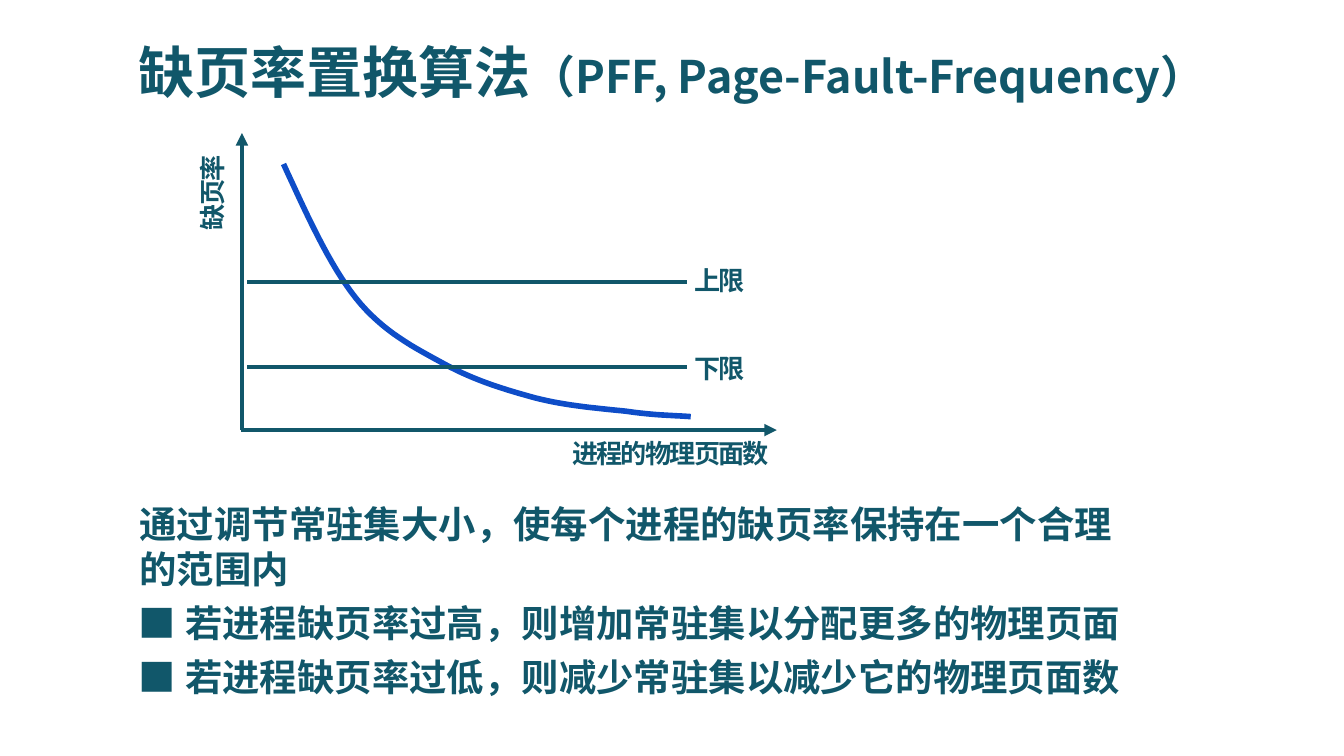
from dataclasses import dataclass

from lxml import etree
from pptx import Presentation
from pptx.dml.color import RGBColor
from pptx.enum.shapes import MSO_CONNECTOR
from pptx.enum.text import MSO_ANCHOR, MSO_AUTO_SIZE, PP_ALIGN
from pptx.oxml.ns import qn
from pptx.util import Inches, Pt

STRAIGHT = MSO_CONNECTOR.STRAIGHT
TOP = MSO_ANCHOR.TOP
GROW = MSO_AUTO_SIZE.SHAPE_TO_FIT_TEXT
LEFT, CENTER = PP_ALIGN.LEFT, PP_ALIGN.CENTER
COLS, ROWS = 100, 56.25


@dataclass(frozen=True)
class Theme:
    ink: str = "11576A"
    curve: str = "0E4DC8"
    font: str = "Noto Sans CJK SC"
    mark: str = "Noto Sans CJK JP"
    title: int = 30
    note: int = 24
    body: int = 20
    label: int = 14
    thin: float = 2.25
    thick: float = 3


class Deck:
    def __init__(self, theme):
        self.theme = theme
        self.file = Presentation()
        self.file.slide_width = Inches(10)
        self.file.slide_height = Inches(10 * 9 / 16)
        self.slide = self.file.slides.add_slide(self.file.slide_layouts[5])

    def x(self, col):
        return round(self.file.slide_width * col / COLS)

    def y(self, row):
        return round(self.file.slide_height * row / ROWS)

    def area(self, col, row, wide, high):
        return self.x(col), self.y(row), self.x(wide), self.y(high)

    def frame(self, shape, wrap=True):
        style = {"word_wrap": wrap, "auto_size": GROW, "vertical_anchor": TOP}
        for name, value in style.items():
            setattr(shape.text_frame, name, value)
        return shape.text_frame.paragraphs[0]

    def run(self, para, text, size, font=None, tight=False):
        run = para.add_run()
        run.text = text
        face = font or self.theme.font
        for name, value in {"size": Pt(size), "bold": True, "name": face}.items():
            setattr(run.font, name, value)
        run.font.color.rgb = RGBColor.from_string(self.theme.ink)
        props = run.font._element
        etree.SubElement(props, qn("a:ea")).set("typeface", face)
        if tight:
            props.set("spc", "-100")

    def title(self, area, parts):
        shape = self.slide.shapes.title
        places = zip(("left", "top", "width", "height"), self.area(*area))
        for name, value in places:
            setattr(shape, name, value)
        para = self.frame(shape)
        para.alignment = CENTER
        for text, size in parts:
            self.run(para, text, size)

    def text(self, area, text, font=None):
        box = self.slide.shapes.add_textbox(*self.area(*area))
        para = self.frame(box)
        para.alignment = LEFT
        self.run(para, text, self.theme.body, font)

    def label(self, area, text, lead=None, turn=False):
        box = self.slide.shapes.add_textbox(*self.area(*area))
        para = self.frame(box, wrap=False)
        if lead:
            para.line_spacing = Pt(lead)
        if turn:
            box.element.txBody.bodyPr.set("vert", "vert270")
        self.run(para, text, self.theme.label, tight=True)

    def stroke(self, shape, color, width):
        shape.line.color.rgb = RGBColor.from_string(color)
        shape.line.width = Pt(width)

    def line(self, start, end, arrow=False):
        ends = [self.x(start[0]), self.y(start[1]), self.x(end[0]), self.y(end[1])]
        link = self.slide.shapes.add_connector(STRAIGHT, *ends)
        self.stroke(link, self.theme.ink, self.theme.thin)
        if arrow:
            props = link.element.spPr.find(qn("a:ln"))
            etree.SubElement(props, qn("a:tailEnd")).set("type", "triangle")
        etree.SubElement(link.element.spPr, qn("a:effectLst"))

    def curve(self, knots, steps=16):
        points = [knots[0]]
        for first in range(0, len(knots) - 1, 3):
            bend = knots[first:first + 4]
            for step in range(1, steps + 1):
                t = step / steps
                mix = ((1 - t) ** 3, 3 * t * (1 - t) ** 2, 3 * t * t * (1 - t), t ** 3)
                points.append([sum(m * p[axis] for m, p in zip(mix, bend))
                               for axis in (0, 1)])
        spots = [(self.x(col), self.y(row)) for col, row in points]
        pen = self.slide.shapes.build_freeform(*spots[0])
        pen.add_line_segments(spots[1:], close=False)
        shape = pen.convert_to_shape()
        shape.shadow.inherit = False
        shape.fill.background()
        self.stroke(shape, self.theme.curve, self.theme.thick)


def main():
    theme = Theme()
    deck = Deck(theme)
    deck.title((0, 2.3, 100, 6.1), [
        ("缺页率置换算法", theme.title),
        ("（PFF, Page-Fault-Frequency）", theme.note),
    ])

    deck.text((9.4, 36.8, 74.5, 7.7),
              "通过调节常驻集大小，使每个进程的缺页率保持在一个合理的范围内")
    rules = ["若进程缺页率过高，则增加常驻集以分配更多的物理页面",
             "若进程缺页率过低，则减少常驻集以减少它的物理页面数"]
    for index, rule in enumerate(rules):
        row = 44.2 + 4 * index
        deck.text((9.3, row, 4.7, 4.4), "■", theme.mark)
        deck.text((12.8, row, 71.6, 4.4), rule)

    deck.line((17.9, 32), (57.8, 32), arrow=True)
    deck.line((18, 32), (18, 9.9), arrow=True)
    deck.curve([
        (21.1, 12.2), (22.8, 15.9), (24.5, 19.7), (26.5, 22.2),
        (28.5, 24.7), (30.9, 25.9), (33.1, 27.1),
        (35.3, 28.3), (37.6, 29), (39.8, 29.6),
        (42.1, 30.2), (44.7, 30.4), (46.6, 30.6),
        (48.6, 30.9), (50, 30.9), (51.4, 31),
    ])
    deck.label((41.6, 32.6, 16.9, 2.9), "进程的物理页面数", lead=13)
    deck.label((14.1, 11.3, 4.4, 6.8), "缺页率", turn=True)

    for name, row, top in [("上限", 21, 19.2), ("下限", 27.3, 25.7)]:
        deck.line((18.4, row), (51.1, row))
        deck.label((50.7, top, 5.8, 3.4), name)

    deck.file.save("out.pptx")


if __name__ == "__main__":
    main()
